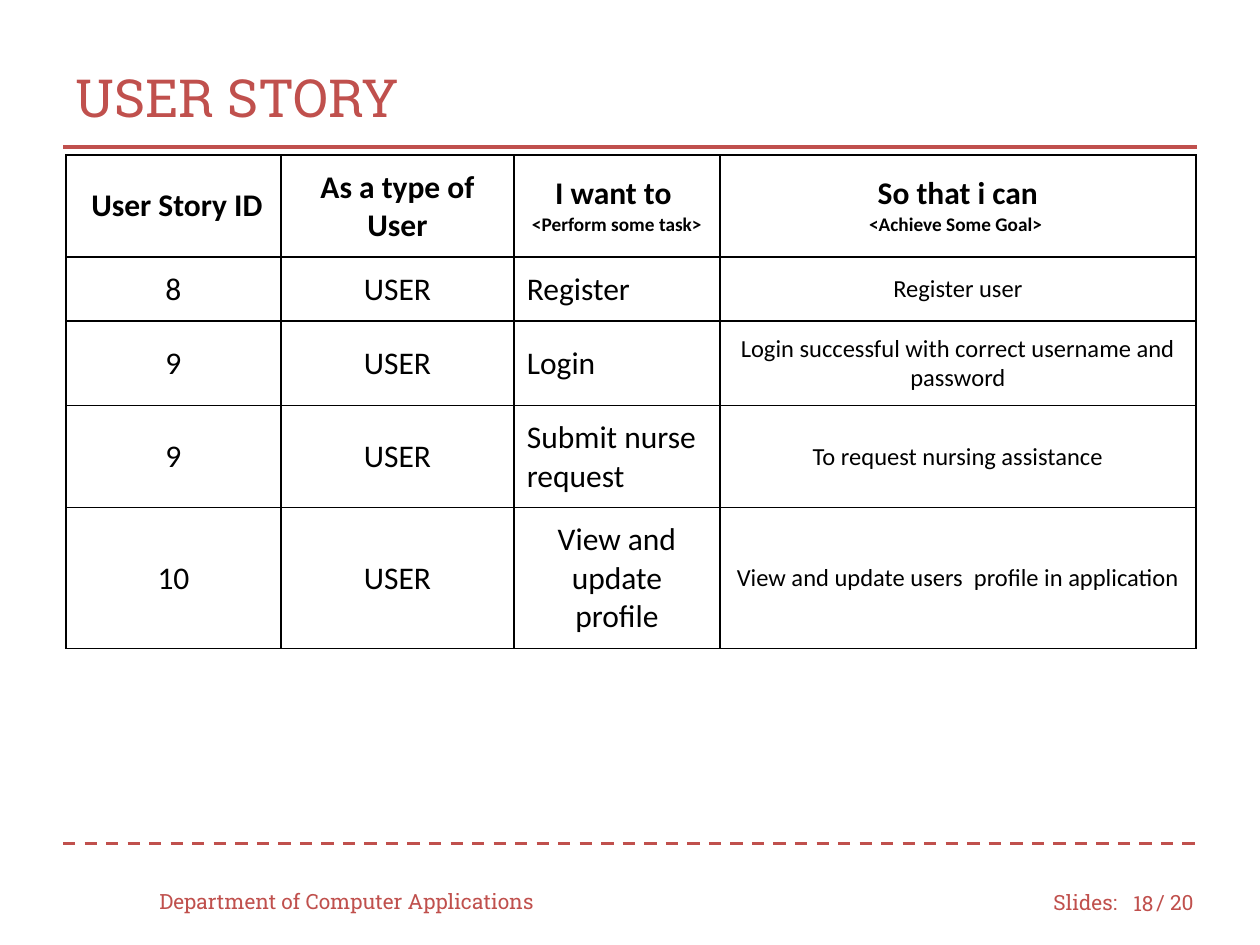
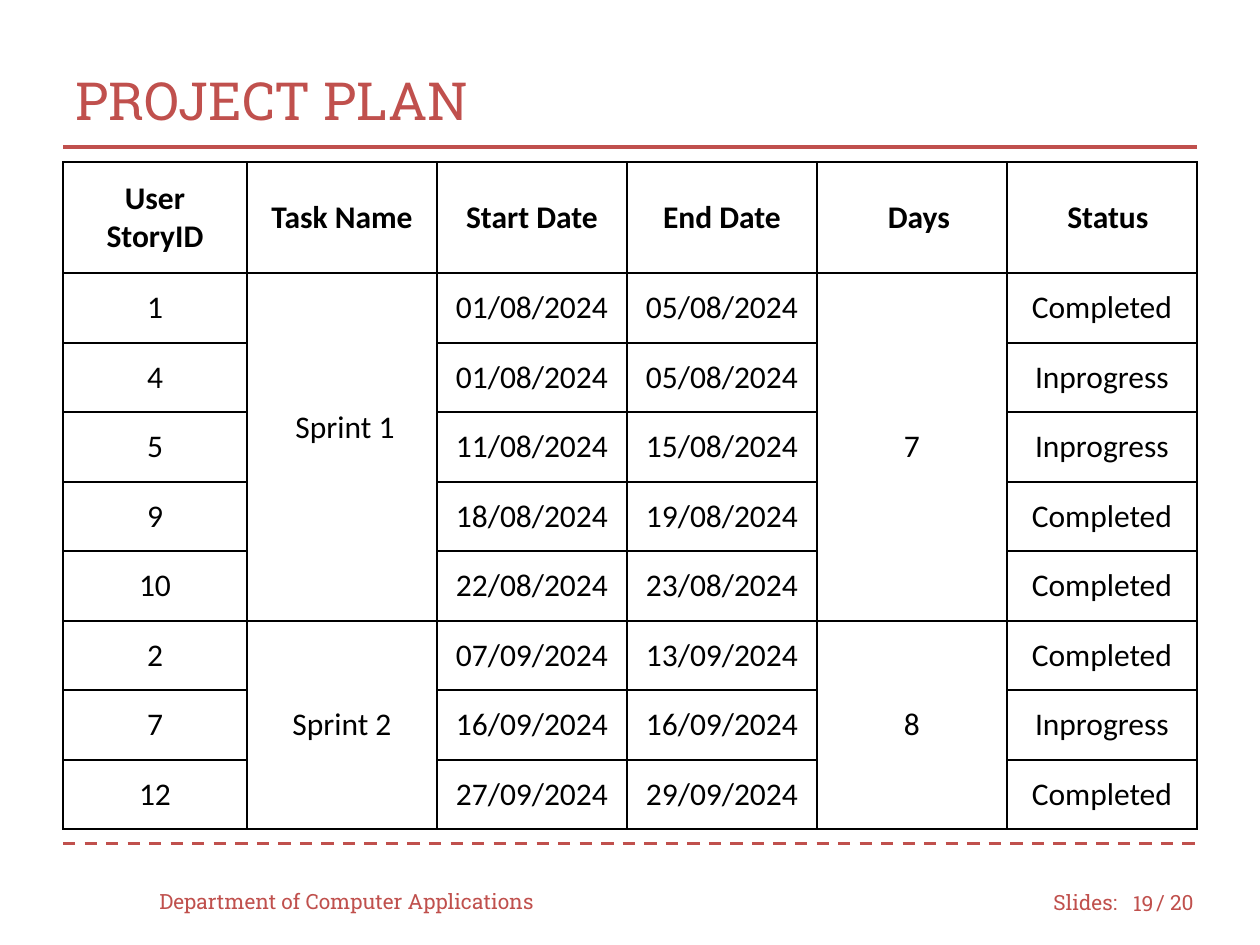
from dataclasses import dataclass

from lxml import etree
from pptx import Presentation
from pptx import util as u
from pptx.dml.color import RGBColor
from pptx.enum import dml, shapes, text
from pptx.oxml import ns

PX_PER_INCH = 126
RED = RGBColor(0xC0, 0x50, 0x4D)
BLACK = RGBColor(0, 0, 0)
WHITE = RGBColor(0xFF, 0xFF, 0xFF)
SLAB, BODY = "Roboto Slab", "Calibri"
LEFT, RIGHT = 63, 1197
CELL_MARGIN = 13
BORDER_PT = 1
ALIGN = text.PP_ALIGN


def px(n: int) -> u.Emu:
    return u.Emu(round(n * 914400 / PX_PER_INCH))


@dataclass(frozen=True)
class Label:
    text: str
    x: int
    y: int
    w: int
    h: int = 50
    size: int = 12
    align: ALIGN = ALIGN.LEFT


@dataclass(frozen=True)
class Rule:
    y: int
    dashed: bool = False


@dataclass(frozen=True)
class Cell:
    """Table cell; span counts rows, the indents widen the margins."""
    text: str
    note: str = ""
    size: int = 18
    bold: bool = False
    align: ALIGN = ALIGN.CENTER
    span: int = 1
    indent: int = 0
    lift: int = 0


@dataclass(frozen=True)
class Grid:
    x: int
    y: int
    cols: list[int]
    rows: list[int]
    cells: list[list[Cell | None]]


FOOTERS = (
    Label("Slides:", 1041, 877, 95),
    Label("/ 20", 1144, 877, 73),
    Label("Department of Computer Applications", 147, 876, 420),
)
RULES = (Rule(844, dashed=True), Rule(147))


def write(tf, content: str, *, size: int, font: str = BODY, color: RGBColor = BLACK,
          bold: bool = False, align: ALIGN = ALIGN.LEFT, note: str = "") -> None:
    """Fill a text frame line by line, with an optional small last line."""
    lines = [(line, size) for line in content.split("\n")]
    if note:
        lines.append((note, 11))
    for i, (line, points) in enumerate(lines):
        p = tf.add_paragraph() if i else tf.paragraphs[0]
        p.alignment = align
        r = p.add_run()
        r.text = line
        r.font.name, r.font.size, r.font.bold = font, u.Pt(points), bold
        r.font.color.rgb = color


def add_label(s, label: Label) -> None:
    sp = s.shapes.add_textbox(px(label.x), px(label.y), px(label.w), px(label.h))
    tf = sp.text_frame
    tf.word_wrap = True
    tf.vertical_anchor = text.MSO_ANCHOR.MIDDLE
    write(tf, label.text, size=label.size, font=SLAB, color=RED, align=label.align)


def add_rule(s, rule: Rule) -> None:
    line = s.shapes.add_connector(shapes.MSO_CONNECTOR.STRAIGHT,
                                  px(LEFT), px(rule.y), px(RIGHT), px(rule.y))
    line.line.color.rgb = RED
    line.line.width = u.Pt(1.75)
    if rule.dashed:
        line.line.dash_style = dml.MSO_LINE.DASH
    etree.SubElement(line._element.spPr, ns.qn("a:effectLst"))


def add_borders(cell) -> None:
    tc_pr = cell._tc.get_or_add_tcPr()
    for i, side in enumerate(("lnL", "lnR", "lnT", "lnB")):
        ln = etree.Element(ns.qn(f"a:{side}"), w=str(u.Pt(BORDER_PT)))
        fill = etree.SubElement(ln, ns.qn("a:solidFill"))
        etree.SubElement(fill, ns.qn("a:srgbClr"), val=str(BLACK))
        tc_pr.insert(i, ln)


def add_grid(s, grid: Grid) -> None:
    table = s.shapes.add_table(len(grid.rows), len(grid.cols), px(grid.x), px(grid.y),
                               px(sum(grid.cols)), px(sum(grid.rows))).table
    table.first_row = table.horz_banding = False
    for col, width in zip(table.columns, grid.cols):
        col.width = px(width)
    for row, height in zip(table.rows, grid.rows):
        row.height = px(height)
    for i, row in enumerate(grid.cells):
        for j, item in enumerate(row):
            cell = table.cell(i, j)
            cell.fill.solid()
            cell.fill.fore_color.rgb = WHITE
            add_borders(cell)
            if item is None:
                continue
            if item.span > 1:
                cell.merge(table.cell(i + item.span - 1, j))
            cell.vertical_anchor = text.MSO_ANCHOR.MIDDLE
            cell.margin_top = cell.margin_right = px(CELL_MARGIN)
            cell.margin_left = px(CELL_MARGIN + item.indent)
            cell.margin_bottom = px(CELL_MARGIN + item.lift)
            write(cell.text_frame, item.text, size=item.size, bold=item.bold,
                  align=item.align, note=item.note)


def head(title: str, note: str = "", indent: int = 0) -> Cell:
    return Cell(title, note, bold=True, indent=indent)


def story(number: str, task: str, goal: str, align: ALIGN = ALIGN.LEFT) -> list[Cell | None]:
    return [Cell(number), Cell("USER"), Cell(task, align=align), Cell(goal, size=14)]


def plan(number: str, start: str, end: str, status: str,
         sprint: Cell | None = None, days: Cell | None = None) -> list[Cell | None]:
    return [Cell(number), sprint, Cell(start), Cell(end), days, Cell(status)]


STORIES = Grid(66, 155, [215, 233, 206, 476], [102, 63, 84, 102, 141], [
    [head("User Story ID", indent=7), head("As a type of User"),
     head("I want to ", "<Perform some task>"),
     head("So that i can", "<Achieve Some Goal> ")],
    story("8", "Register", "Register user"),
    story("9", "Login", "Login successful with correct username and password"),
    story("9", "Submit nurse request", "To request nursing assistance"),
    story("10", "View and update profile", "View and update users  profile in application",
          ALIGN.CENTER),
])

PLAN = Grid(63, 162, [184] + [190] * 5, [111] + [70, 69] * 4, [
    [head("User\nStoryID"), head("Task Name"), head("Start Date"), head("End Date"),
     head("Days", indent=14), head("Status", indent=12)],
    plan("1", "01/08/2024", "05/08/2024", "Completed",
         Cell("Sprint 1", span=5, indent=6, lift=38), Cell("7", span=5)),
    plan("4", "01/08/2024", "05/08/2024", "Inprogress"),
    plan("5", "11/08/2024", "15/08/2024", "Inprogress"),
    plan("9", "18/08/2024", "19/08/2024", "Completed"),
    plan("10", "22/08/2024", "23/08/2024", "Completed"),
    plan("2", "07/09/2024", "13/09/2024", "Completed",
         Cell("Sprint 2", span=3), Cell("8", span=3)),
    plan("7", "16/09/2024", "16/09/2024", "Inprogress"),
    plan("12", "27/09/2024", "29/09/2024", "Completed"),
])


def add_slide(prs, title: str, title_y: int, number: int, grid: Grid) -> None:
    s = prs.slides.add_slide(prs.slide_layouts[6])
    for rule in RULES:
        add_rule(s, rule)
    heading = Label(title, LEFT, title_y, RIGHT - LEFT, 116, size=30)
    page = Label(str(number), 1113, 878, 53, align=ALIGN.RIGHT)
    for label in (heading, *FOOTERS, page):
        add_label(s, label)
    add_grid(s, grid)


def main() -> None:
    prs = Presentation()
    prs.slide_width, prs.slide_height = px(1260), px(945)
    add_slide(prs, "USER STORY", 39, 18, STORIES)
    add_slide(prs, "PROJECT PLAN", 42, 19, PLAN)
    prs.save("out.pptx")


if __name__ == "__main__":
    main()
